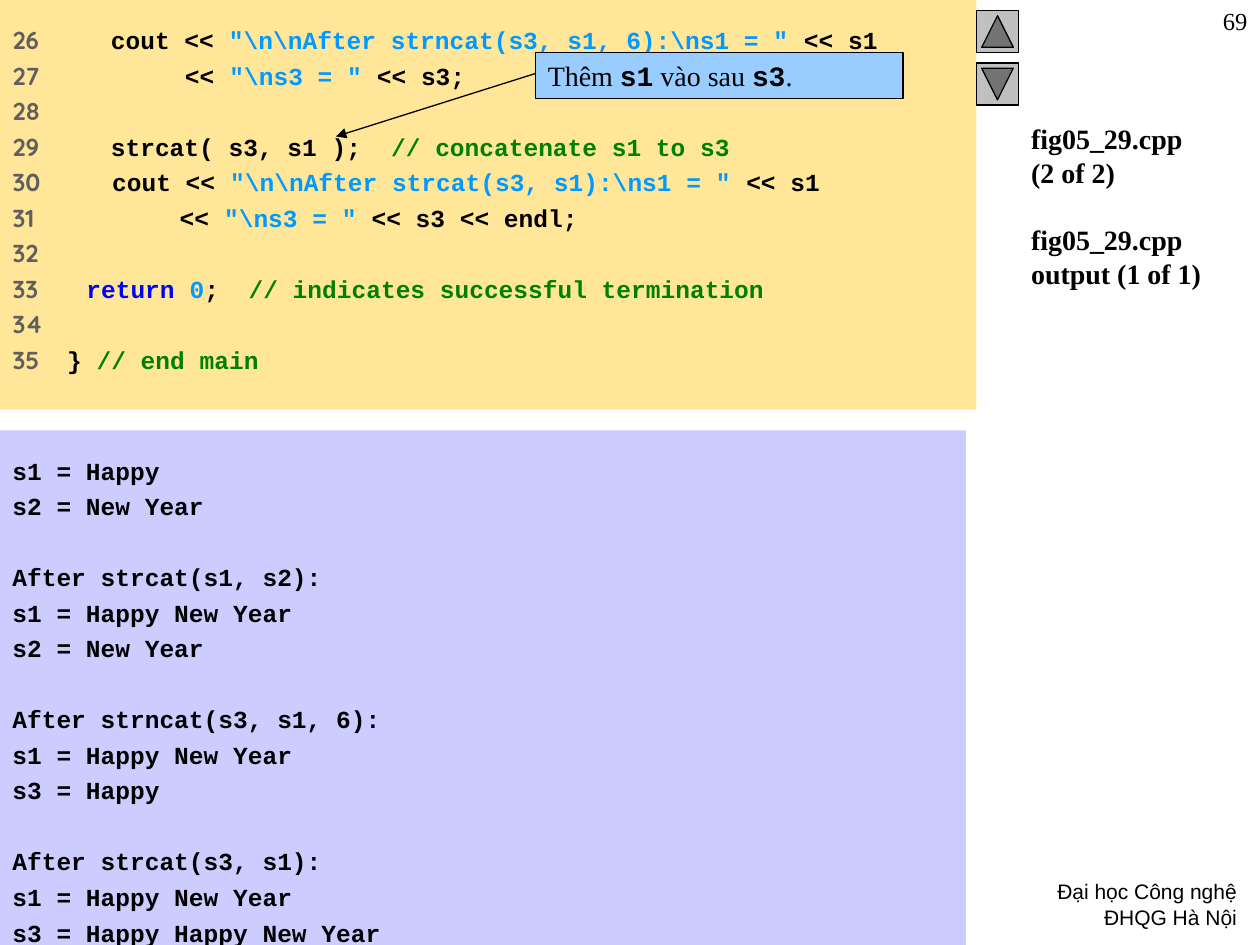
"""Build the strcat / strncat code slide with its program output."""
from lxml.etree import SubElement
from pptx import Presentation
from pptx.dml.color import RGBColor as RGB
from pptx.enum.shapes import MSO_CONNECTOR as CONN, MSO_SHAPE as SHAPE
from pptx.enum.text import MSO_ANCHOR as ANCHOR, MSO_AUTO_SIZE as AUTO, PP_ALIGN as ALIGN
from pptx.oxml.ns import qn
from pptx.util import Inches, Pt

THEME = {
    "code_bg": "FFE699", "output_bg": "CCCCFF", "callout_bg": "99CCFF", "button": "C0C0C0",
    "line": "000000", "line_width": 0.75,
    "code_gap": 3.5, "code_pitch": 16.8, "title_pitch": 19.2, "footer_pitch": 14.8,
}
STYLES = {
    "num": ("Quicksand", 14, "5F5F5F", True),
    "code": ("Courier New", 14, "000000", True),
    "str": ("Courier New", 14, "0099FF", True),
    "key": ("Courier New", 14, "0000FF", True),
    "note": ("Courier New", 14, "008000", True),
    "title": ("Times New Roman", 16, "000000", True),
    "say": ("Times New Roman", 16, "000000", False),
    "name": ("Courier New", 16, "000000", True),
    "page": ("Times New Roman", 14, "000000", False),
    "footer": ("Arial", 12, "000000", False),
}
COLS, ROWS = 120, 90

CODE = [
    [("num", "26    "), ("code", "   cout << "),
     ("str", r'"\n\nAfter strncat(s3, s1, 6):\ns1 = "'), ("code", " << s1")],
    [("num", "27    "), ("code", "        << "), ("str", r'"\ns3 = " '), ("code", "<< s3;")],
    [("num", "28")],
    [("num", "29    "), ("code", "   strcat( s3, s1 );  "), ("note", "// concatenate s1 to s3")],
    [("num", "30    "), ("code", "   cout << "),
     ("str", r'"\n\nAfter strcat(s3, s1):\ns1 = " '), ("code", "<< s1")],
    [("num", "31    "), ("code", "        << "), ("str", r'"\ns3 = " '),
     ("code", "<< s3 << endl;")],
    [("num", "32")],
    [("num", "33       "), ("key", "return "), ("str", "0"), ("code", ";  "),
     ("note", "// indicates successful termination")],
    [("num", "34")],
    [("num", "35    "), ("code", "} "), ("note", "// end main")],
]
OUTPUT = [
    ["s1 = Happy", "s2 = New Year"],
    ["After strcat(s1, s2):", "s1 = Happy New Year", "s2 = New Year"],
    ["After strncat(s3, s1, 6):", "s1 = Happy New Year", "s3 = Happy"],
    ["After strcat(s3, s1):", "s1 = Happy New Year", "s3 = Happy Happy New Year"],
]
TITLE = ["fig05_29.cpp\v(2 of 2)", "fig05_29.cpp\voutput (1 of 1)"]
CALLOUT = [("say", "Thêm "), ("name", "s1"), ("say", " vào sau "), ("name", "s3"), ("say", ".")]
FOOTER = "Đại học Công nghệ\vĐHQG Hà Nội"
PAGE = "69"
BUTTONS = [(1, 90), (6, 270)]

prs = Presentation()
prs.slide_width, prs.slide_height = Inches(10), Inches(7.5)
slide = prs.slides.add_slide(prs.slide_layouts[0])


def cells(col, row, w=0, h=0):
    """Turn grid columns and rows into slide lengths."""
    x, y = prs.slide_width / COLS, prs.slide_height / ROWS
    return [round(v) for v in (col * x, row * y, w * x, h * y)]


def place(sp, box):
    """Move a placeholder onto the grid."""
    sp.left, sp.top, sp.width, sp.height = cells(*box)
    return sp


def paint(sp, color, outline=False):
    """Give a shape a flat fill and an optional outline."""
    sp.fill.solid()
    sp.fill.fore_color.rgb = RGB.from_string(color)
    if outline:
        sp.line.color.rgb = RGB.from_string(THEME["line"])
        sp.line.width = Pt(THEME["line_width"])
    else:
        sp.line.fill.background()


def add_box(kind, box, color, outline=False):
    """Add a flat preset shape on the grid."""
    sp = slide.shapes.add_shape(kind, *cells(*box))
    sp.shadow.inherit = False
    paint(sp, color, outline)
    return sp


def write(sp, lines, gaps=None, pitch=None, align=ALIGN.LEFT, anchor=ANCHOR.TOP, inset=0.05):
    """Fill a shape with lines of (style, text) runs."""
    tf = sp.text_frame
    tf.word_wrap, tf.auto_size, tf.vertical_anchor = True, AUTO.NONE, anchor
    tf.margin_left = tf.margin_right = Inches(0.1)
    tf.margin_top = tf.margin_bottom = Inches(inset)
    for i, line in enumerate(lines):
        p = tf.add_paragraph() if i else tf.paragraphs[0]
        p.alignment = align
        p.space_before = Pt(gaps[i] if gaps else 0)
        if pitch:
            p.line_spacing = Pt(pitch)
        for style, text in line:
            for n, part in enumerate(text.split("\v")):
                if n:
                    p.add_line_break()
                r = p.add_run()
                r.text = part
                font, (name, size, color, bold) = r.font, STYLES[style]
                font.name, font.size, font.bold = name, Pt(size), bold
                font.color.rgb = RGB.from_string(color)


gap, pitch = THEME["code_gap"], THEME["code_pitch"]

title = place(slide.shapes.title, (97, 11, 23, 63))
write(title, [[("title", t)] for t in TITLE], [0, THEME["title_pitch"]], THEME["title_pitch"])

code = place(slide.placeholders[1], (0, 0, 93, 39))
paint(code, THEME["code_bg"])
write(code, CODE, [0] + [gap] * (len(CODE) - 1), pitch, inset=0.2)

output = add_box(SHAPE.RECTANGLE, (0, 41, 92, 49), THEME["output_bg"])
gaps = [gap if i else 2 * gap + pitch for block in OUTPUT for i in range(len(block))]
write(output, [[("code", t)] for block in OUTPUT for t in block], [0] + gaps[1:], pitch, inset=0.2)

for row, angle in BUTTONS:
    button = add_box(SHAPE.ACTION_BUTTON_BACK_OR_PREVIOUS, (93, row, 4, 4), THEME["button"], True)
    button.rotation = angle

page = slide.shapes.add_textbox(*cells(114, 0, 6, 6))
write(page, [[("page", PAGE)]], align=ALIGN.RIGHT)
footer = slide.shapes.add_textbox(*cells(93, 83, 26, 6))
write(footer, [[("footer", FOOTER)]], pitch=THEME["footer_pitch"], align=ALIGN.RIGHT)

callout = add_box(SHAPE.RECTANGLE, (51, 5, 35, 4.4), THEME["callout_bg"], True)
write(callout, [CALLOUT], anchor=ANCHOR.MIDDLE)
arrow = slide.shapes.add_connector(CONN.STRAIGHT, *cells(51, 7)[:2], *cells(32, 13)[:2])
arrow.line.color.rgb = RGB.from_string(THEME["line"])
arrow.line.width = Pt(THEME["line_width"])
SubElement(arrow.line._get_or_add_ln(), qn("a:tailEnd"), type="triangle")
SubElement(arrow._element.spPr, qn("a:effectLst"))

prs.save("out.pptx")
